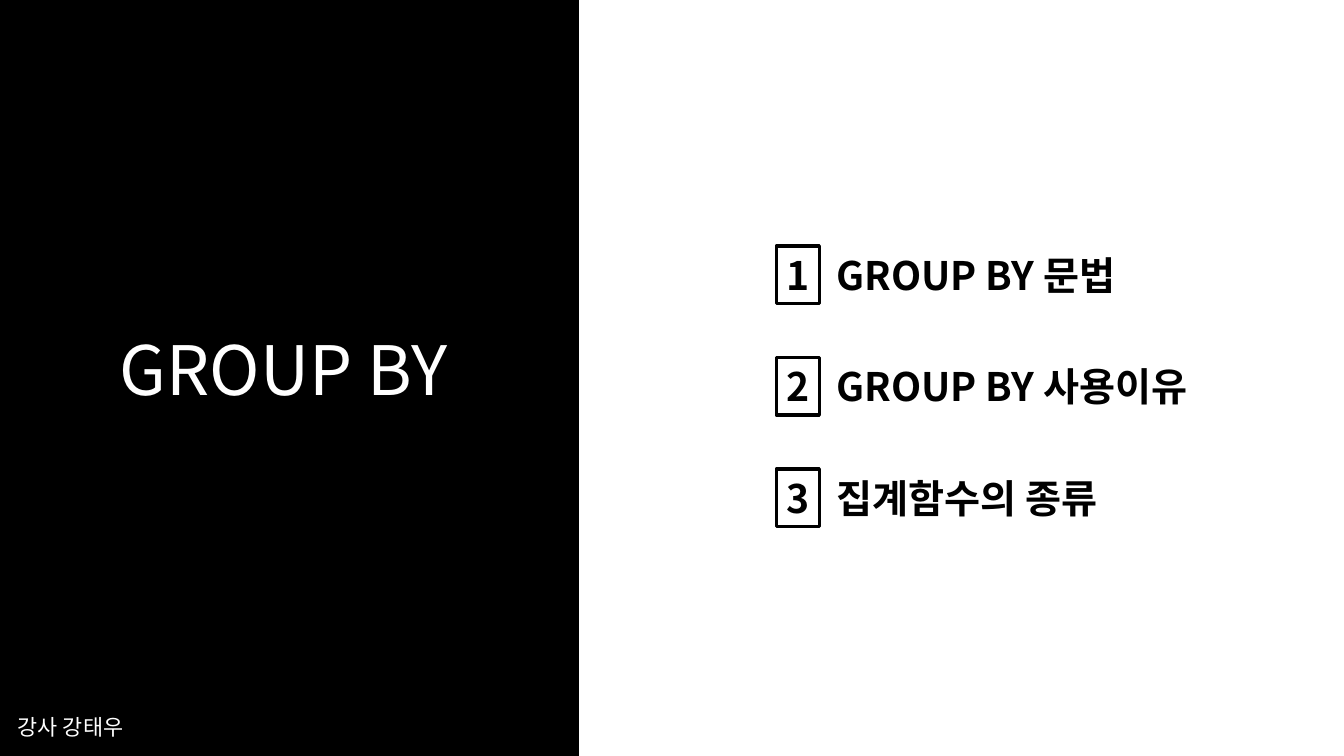
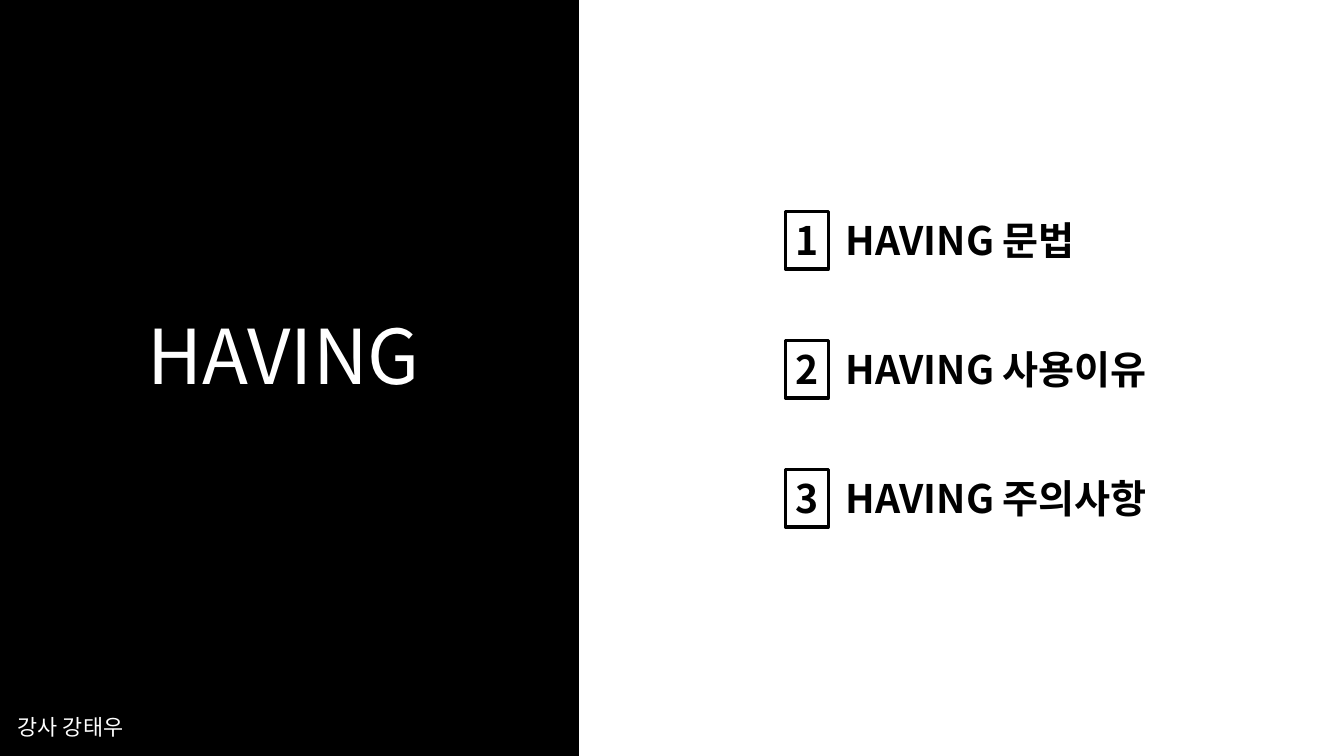
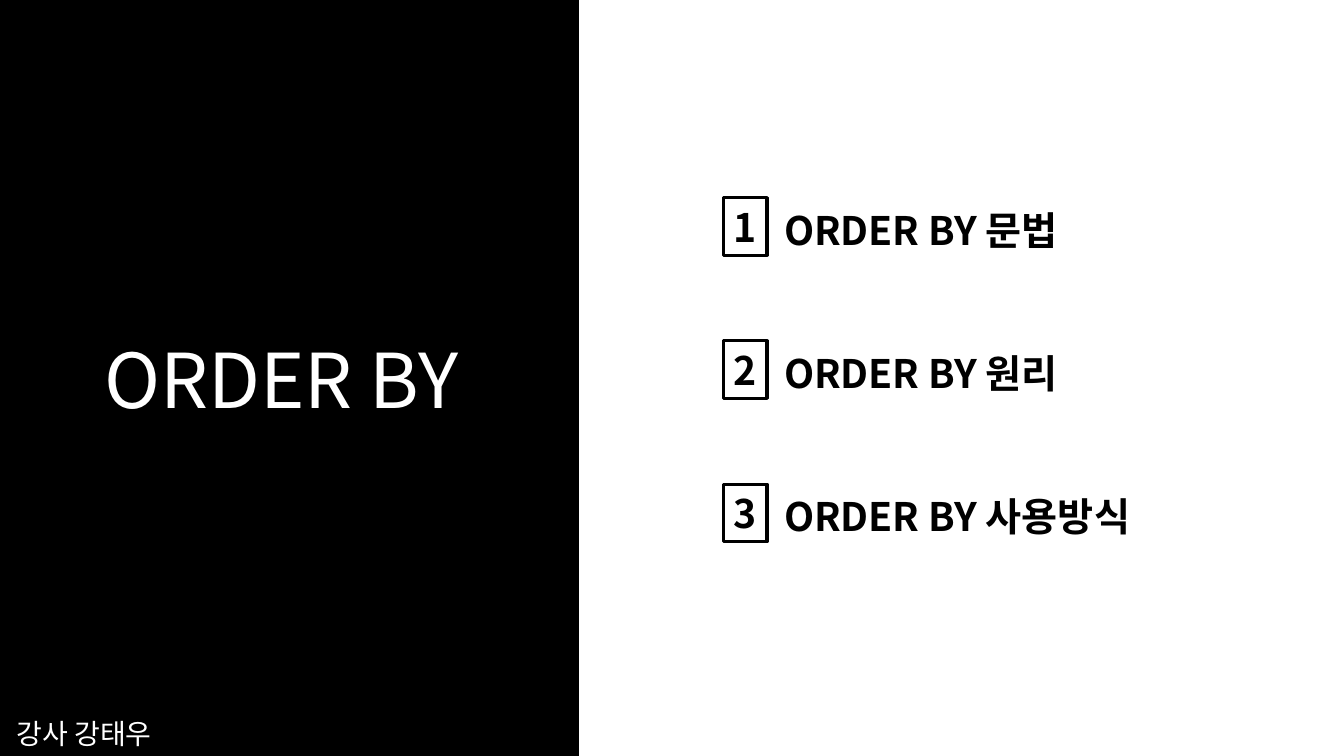
from pptx import Presentation
from pptx.dml.color import RGBColor
from pptx.enum import shapes, text
from pptx.oxml import ns
from pptx.util import Cm, Pt

# Shared look
FONT = "Noto Sans CJK KR"
BLACK, WHITE = "000000", "FFFFFF"
WIDE, HIGH = 33.87, 19.05
PANEL = 14.58
BOX_W, BOX_H = 1.09, 1.45
STEP = 1.27  # from number box to its label
TITLE_H = 3.02
TEACHER = "강사 강태우"

# Per slide: title (size, centre, bottom), teacher (size, centre, bottom),
# list (left, top, pitch, label drop) and its items
PARTS = [
    ("GROUP BY", (48.6, 7.15, 10.46), (15.6, 1.78, 18.77),
     (19.56, 6.2, 2.81, 0),
     ["GROUP BY 문법", "GROUP BY 사용이유", "집계함수의 종류"]),
    ("HAVING", (54, 7.15, 10.24), (15.6, 1.78, 18.77),
     (19.79, 5.33, 3.25, 0),
     ["HAVING 문법", "HAVING 사용이유", "HAVING 주의사항"]),
    ("ORDER BY", (54, 7.09, 10.82), (20, 2.12, 19.05),
     (18.24, 4.98, 3.61, 0.08),
     ["ORDER BY 문법", "ORDER BY 원리", "ORDER BY 사용방식"]),
]


def color(code):
    return RGBColor.from_string(code)


def write(shape, words, size, ink, align, anchor, bold=False):
    """Fill a shape with one styled line of text."""
    frame = shape.text_frame
    frame.text = words
    frame.word_wrap = True
    frame.auto_size = text.MSO_AUTO_SIZE.NONE
    frame.vertical_anchor = anchor
    par = frame.paragraphs[0]
    par.alignment = align
    for run in par.runs:
        font = run.font
        font.name, font.size, font.bold = FONT, Pt(size), bold
        font.color.rgb = color(ink)
        east = font._element.makeelement(ns.qn("a:ea"), {"typeface": FONT})
        font._element.find(ns.qn("a:latin")).addnext(east)
    return par


def rect(slide, left, top, width, height, line, fill=None):
    shape = slide.shapes.add_shape(
        shapes.MSO_SHAPE.RECTANGLE, Cm(left), Cm(top), Cm(width), Cm(height))
    shape.shadow.inherit = False
    if fill:
        shape.fill.solid()
        shape.fill.fore_color.rgb = color(fill)
    else:
        shape.fill.background()
    shape.line.color.rgb = color(BLACK)
    shape.line.width = Pt(line)
    return shape


def label(slide, left, top, width, height):
    return slide.shapes.add_textbox(Cm(left), Cm(top), Cm(width), Cm(height))


def panel(slide):
    """Black left band, behind the title."""
    band = rect(slide, 0, 0, PANEL, HIGH, 1, BLACK)
    slide.shapes.element.insert(2, band.element)


def head(slide, words, size, mid, base):
    title = slide.shapes.title
    width = 11.6
    title.left, title.top = Cm(mid - width / 2), Cm(base - TITLE_H)
    title.width, title.height = Cm(width), Cm(TITLE_H)
    par = write(title, words, size, WHITE, text.PP_ALIGN.CENTER,
                text.MSO_ANCHOR.BOTTOM)
    par.line_spacing = 0.9


def foot(slide, size, mid, base):
    box = label(slide, 0, base - 1.2, 2 * mid, 1.2)
    par = write(box, TEACHER, size, WHITE, text.PP_ALIGN.CENTER,
                text.MSO_ANCHOR.BOTTOM)
    par.line_spacing = 0.9


def agenda(slide, items, left, top, pitch, drop):
    """Numbered boxes with a label each."""
    for row, item in enumerate(items):
        y = top + row * pitch
        box = rect(slide, left, y, BOX_W, BOX_H, 2.25)
        box.text_frame.margin_left = box.text_frame.margin_right = 0
        write(box, str(row + 1), 28, BLACK, text.PP_ALIGN.CENTER,
              text.MSO_ANCHOR.MIDDLE, True)
        name = label(slide, left + STEP, y + drop, 11.7, BOX_H)
        write(name, item, 28, BLACK, text.PP_ALIGN.LEFT,
              text.MSO_ANCHOR.MIDDLE, True)


def main():
    deck = Presentation()
    deck.slide_width, deck.slide_height = Cm(WIDE), Cm(HIGH)
    for words, title, teacher, place, items in PARTS:
        slide = deck.slides.add_slide(deck.slide_layouts[5])
        panel(slide)
        head(slide, words, *title)
        foot(slide, *teacher)
        agenda(slide, items, *place)
    deck.save("out.pptx")


if __name__ == "__main__":
    main()
